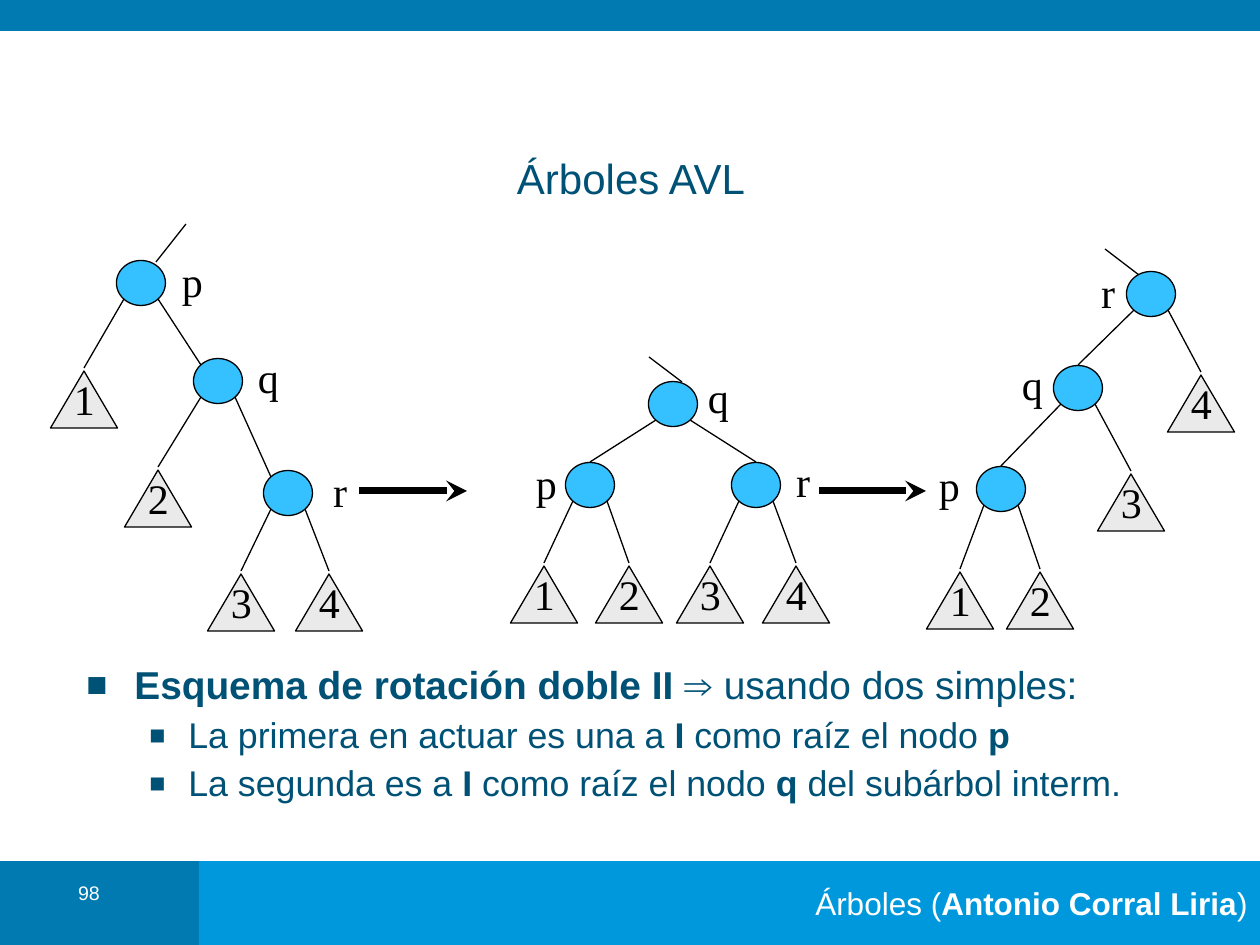
from lxml import etree
from pptx import Presentation
from pptx.dml.color import RGBColor
from pptx.enum.shapes import MSO_CONNECTOR, MSO_SHAPE
from pptx.enum.text import MSO_ANCHOR, PP_ALIGN
from pptx.oxml.ns import qn
from pptx.util import Emu, Pt

STRAIGHT = MSO_CONNECTOR.STRAIGHT
RECTANGLE, OVAL, TRIANGLE = MSO_SHAPE.RECTANGLE, MSO_SHAPE.OVAL, MSO_SHAPE.ISOSCELES_TRIANGLE
TOP, MIDDLE = MSO_ANCHOR.TOP, MSO_ANCHOR.MIDDLE
LEFT, CENTER, RIGHT = PP_ALIGN.LEFT, PP_ALIGN.CENTER, PP_ALIGN.RIGHT

DARK_BLUE = RGBColor(0x00, 0x7A, 0xB1)
BLUE = RGBColor(0x00, 0x98, 0xDC)
NODE_BLUE = RGBColor(0x35, 0xC0, 0xFF)
TEXT_BLUE = RGBColor(0x00, 0x51, 0x76)
GRAY = RGBColor(0xEA, 0xEA, 0xEA)
BLACK = RGBColor(0x00, 0x00, 0x00)
WHITE = RGBColor(0xFF, 0xFF, 0xFF)
SANS, SERIF = "Arial", "Times New Roman"

SLIDE_W, SLIDE_H = 1260, 945
FOOTER_TOP, FOOTER_H = 861, 84
NODE_W, NODE_H = 49, 45
LEAF_W, LEAF_H = 67, 57
LABEL_W, LABEL_H = 45, 63
LEAF_LABEL_DROP = 28
LEAF_GAP = 3
SIDE_X, SIDE_Y = 17, 16
ARROW_Y = 491

# Nodes: name -> (centre, label centre, left child, right child).
# Leaves: number -> apex. Edges reach a child node at child_joint from its centre.
TREES = [
    {
        "nodes": {"p": ((141, 283), (192, 281), "1", "q"),
                  "q": ((218, 381), (268, 377), "2", "r"),
                  "r": ((288, 493), (340, 491), "3", "4")},
        "leaves": {"1": (84, 371), "2": (158, 470), "3": (241, 574), "4": (329, 574)},
        "child_joint": (-SIDE_X, -SIDE_Y),
        "stub": ((156, 262), (186, 224)),
        "arrow": None,
    },
    {
        "nodes": {"q": ((673, 404), (718, 397), "p", "r"),
                  "p": ((590, 485), (546, 483), "1", "2"),
                  "r": ((756, 485), (803, 481), "3", "4")},
        "leaves": {"1": (544, 566), "2": (629, 566), "3": (710, 566), "4": (796, 566)},
        "child_joint": (0, -NODE_H // 2),
        "stub": ((682, 382), (649, 357)),
        "arrow": (359, 467),
    },
    {
        "nodes": {"r": ((1151, 294), (1108, 292), "q", "4"),
                  "q": ((1078, 388), (1032, 384), "p", "3"),
                  "p": ((1001, 489), (949, 485), "1", "2")},
        "leaves": {"1": (960, 572), "2": (1040, 572), "3": (1131, 474), "4": (1201, 375)},
        "child_joint": (0, -NODE_H // 2),
        "stub": ((1139, 275), (1105, 249)),
        "arrow": (819, 926),
    },
]

# Level, size, space before, spans of (text, bold)
BODY = [
    (0, 22.2, 0, [("Esquema de rotación doble II ", True), ("⇒ usando dos simples:", False)]),
    (1, 20.4, 5.5, [("La primera en actuar es una a ", False), ("I", True),
                    (" como raíz el nodo ", False), ("p", True)]),
    (1, 20.4, 5.5, [("La segunda es a ", False), ("I", True), (" como raíz el nodo ", False),
                    ("q", True), (" del subárbol interm.", False)]),
]
# Text indent in px, bullet hang in px, bullet size in percent
LEVELS = [(48, 48, 90), (102, 39, 75)]


def px(value):
    return Emu(round(value * 914400 / 126))


def add_block(shapes, kind, left, top, width, height, fill, outlined=False):
    block = shapes.add_shape(kind, px(left), px(top), px(width), px(height))
    block.shadow.inherit = False
    block.fill.solid()
    block.fill.fore_color.rgb = fill
    if outlined:
        block.line.color.rgb = BLACK
        block.line.width = Pt(0.75)
    else:
        block.line.fill.background()
    return block


def add_line(shapes, start, end, width=0.75):
    line = shapes.add_connector(STRAIGHT, *map(px, (*start, *end)))
    line.line.color.rgb = BLACK
    line.line.width = Pt(width)
    etree.SubElement(line._element.spPr, qn("a:effectLst"))
    return line


def add_arrow(shapes, start, end):
    arrow = add_line(shapes, start, end, 4)
    etree.SubElement(arrow.line._get_or_add_ln(), qn("a:tailEnd"), type="stealth")


def write_spans(para, spans, size, font, color):
    for text, bold in spans:
        span = para.add_run()
        span.text = text
        span.font.size = Pt(size)
        span.font.name = font
        span.font.bold = bold
        span.font.color.rgb = color


def write_line(box, spans, size, font, color, align=CENTER, anchor=MIDDLE, wrap=True):
    """Fill a box with one paragraph and return it."""
    frame = box.text_frame
    frame.word_wrap = wrap
    frame.vertical_anchor = anchor
    para = frame.paragraphs[0]
    para.alignment = align
    write_spans(para, spans, size, font, color)
    return para


def add_textbox(shapes, left, top, width, height):
    return shapes.add_textbox(px(left), px(top), px(width), px(height))


def add_label(shapes, center, text):
    x, y = center
    box = add_textbox(shapes, x - LABEL_W / 2, y - LABEL_H / 2, LABEL_W, LABEL_H)
    write_line(box, [(text, False)], 24, SERIF, BLACK, wrap=False)


def add_tree(page, tree):
    shapes = page.shapes.add_group_shape().shapes
    nodes, leaves = tree["nodes"], tree["leaves"]
    joint_x, joint_y = tree["child_joint"]
    if tree["arrow"]:
        start, end = tree["arrow"]
        add_arrow(shapes, (start, ARROW_Y), (end, ARROW_Y))
    add_line(shapes, *tree["stub"])
    for name, ((x, y), label, *children) in nodes.items():
        add_block(shapes, OVAL, x - NODE_W / 2, y - NODE_H / 2, NODE_W, NODE_H, NODE_BLUE, True)
        add_label(shapes, label, name)
        for child, side in zip(children, (-SIDE_X, SIDE_X)):
            if child in nodes:
                child_x, child_y = nodes[child][0]
                end = (child_x + joint_x, child_y + joint_y)
            else:
                end = (leaves[child][0], leaves[child][1] - LEAF_GAP)
            add_line(shapes, (x + side, y + SIDE_Y), end)
    for number, (x, top) in leaves.items():
        add_block(shapes, TRIANGLE, x - LEAF_W / 2, top, LEAF_W, LEAF_H, GRAY, True)
        add_label(shapes, (x, top + LEAF_LABEL_DROP), number)


def set_bullet(para, level):
    indent, hang, percent = LEVELS[level]
    props = para._p.get_or_add_pPr()
    props.set("marL", str(px(indent)))
    props.set("indent", str(-px(hang)))
    color = etree.SubElement(props, qn("a:buClr"))
    etree.SubElement(color, qn("a:srgbClr"), val=str(TEXT_BLUE))
    etree.SubElement(props, qn("a:buSzPct"), val=str(percent * 1000))
    etree.SubElement(props, qn("a:buFont"), typeface=SANS)
    etree.SubElement(props, qn("a:buChar"), char="■")


def add_body(page):
    frame = add_textbox(page.shapes, 74, 660, 1160, 180).text_frame
    frame.word_wrap = True
    for index, (level, size, space, spans) in enumerate(BODY):
        para = frame.add_paragraph() if index else frame.paragraphs[0]
        para.level = level
        set_bullet(para, level)
        para.line_spacing = 0.9
        para.space_before = Pt(space)
        write_spans(para, spans, size, SANS, TEXT_BLUE)


def add_frame(page):
    """Draw the top band and the footer with its number and author."""
    shapes = page.shapes
    add_block(shapes, RECTANGLE, 0, FOOTER_TOP, 231, FOOTER_H, DARK_BLUE)
    footer = add_block(shapes, RECTANGLE, 199, FOOTER_TOP, SLIDE_W - 199, FOOTER_H, BLUE)
    author = [("Árboles (", False), ("Antonio Corral Liria", True), (")", False)]
    write_line(footer, author, 18, SANS, WHITE, align=RIGHT, wrap=False)
    add_block(shapes, RECTANGLE, 0, 0, SLIDE_W, 31, DARK_BLUE)
    number = add_textbox(shapes, 44, 879, 90, 40)
    write_line(number, [("98", False)], 11.2, SANS, WHITE, anchor=TOP).line_spacing = 0.8


def add_title(page):
    title = add_textbox(page.shapes, 105, 151, 1052, 53)
    frame = title.text_frame
    frame.margin_left = frame.margin_right = frame.margin_top = frame.margin_bottom = 0
    write_line(title, [("Árboles AVL", False)], 24, SANS, TEXT_BLUE)


def main():
    deck = Presentation()
    deck.slide_width, deck.slide_height = px(SLIDE_W), px(SLIDE_H)
    page = deck.slides.add_slide(deck.slide_layouts[6])
    add_frame(page)
    add_title(page)
    add_body(page)
    for tree in TREES:
        add_tree(page, tree)
    deck.save("out.pptx")


if __name__ == "__main__":
    main()
